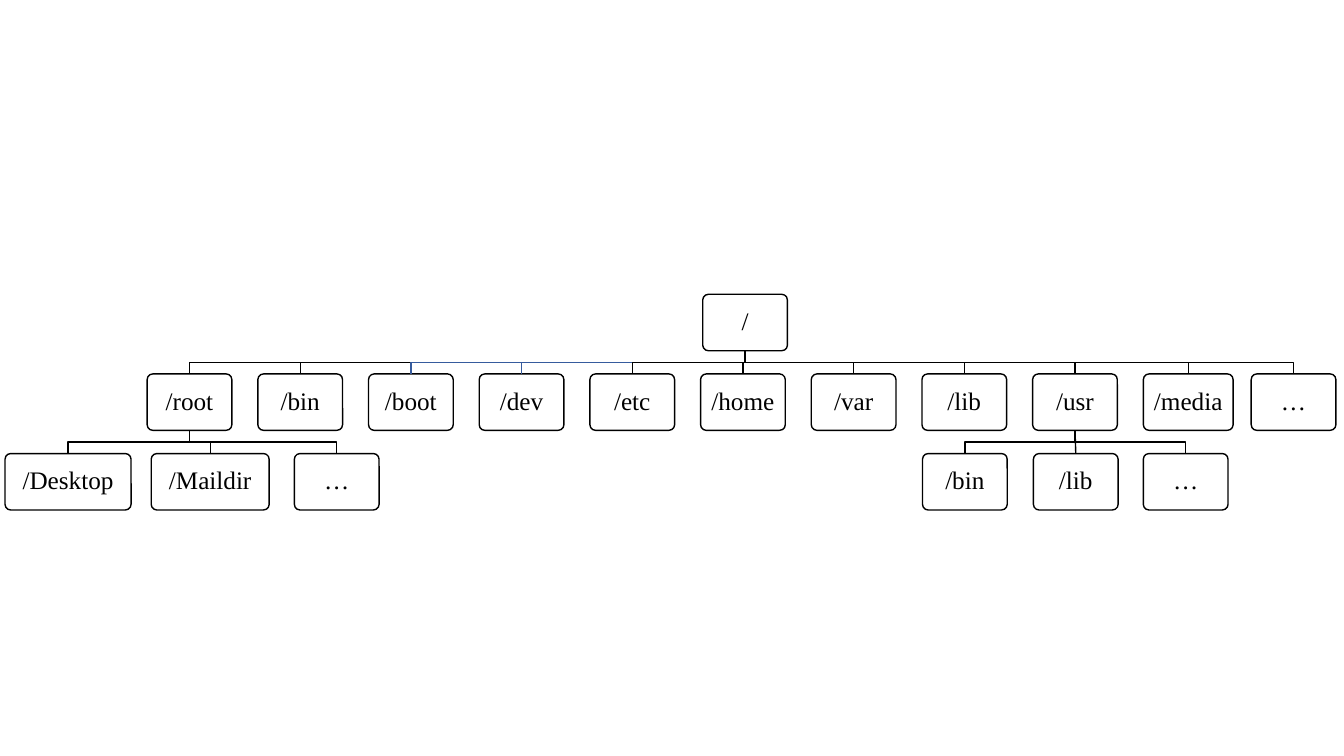
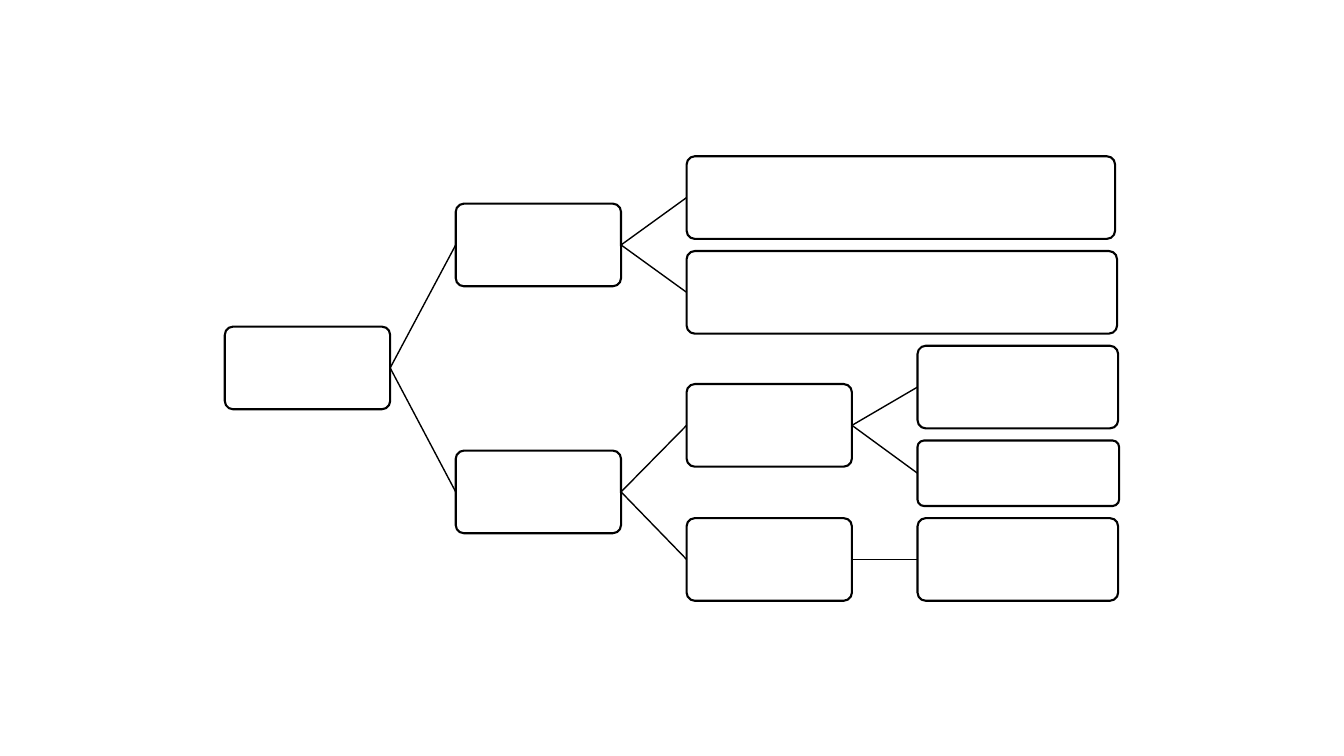
import pptx
import pptx.util
import pptx.dml.color
import pptx.enum.shapes
import pptx.enum.text
import pptx.oxml

Inches = pptx.util.Inches
Pt = pptx.util.Pt

COLORS = {"ink": "000000", "accent": "365B9D", "paper": "FFFFFF"}
LABEL_FONT = {"name": "Times New Roman", "size": Pt(18)}
LABEL_FRAME = {
    "margin_left": Inches(0.08),
    "margin_right": Inches(0.08),
    "margin_top": Inches(0.08),
    "margin_bottom": Inches(0.08),
    "word_wrap": True,
    "vertical_anchor": pptx.enum.text.MSO_ANCHOR.MIDDLE,
}
LABEL_PARAGRAPH = {"alignment": pptx.enum.text.PP_ALIGN.CENTER, "line_spacing": 0.9}

FOLDERS = ["/root", "/bin", "/boot", "/dev", "/etc", "/home", "/var", "/lib", "/usr", "/media"]
ACCENT_FOLDERS = ["/boot", "/dev"]
FOLDER_WIDTH, FOLDER_HEIGHT = 0.84, 0.56
WIDE_FOLDERS = {"/media": 0.89, "/Desktop": 1.25, "/Maildir": 1.17}
ROOT_PLACE = (6.97, 2.92)
FIRST_LEFT, LAST_LEFT = 1.46, 11.34
FOLDER_TOP, SUBFOLDER_TOP = 3.71, 4.5
MORE_LEFT = 12.41
SUBFOLDERS = {
    "/root": [("/Desktop", 0.05), ("/Maildir", 1.5), ("…", 2.92)],
    "/usr": [("/bin", 9.15), ("/lib", 10.25), ("…", 11.34)],
}

TREE_LEFT, TREE_PITCH = 2.23, 2.29
NODE_WIDTH, NODE_HEIGHT = 1.64, 0.82
LEAF_TOP, LEAF_GAP = 1.55, 0.12
BRANCHES = [
    ("start", None, 0, 3.24),
    ("upper", "start", 1, 2.02),
    ("lower", "start", 1, 4.47),
    ("lower first", "lower", 2, 3.81),
    ("lower second", "lower", 2, 5.14),
]
LEAVES = [
    ("upper", 2, 4.25, 0.82),
    ("upper", 2, 4.27, 0.82),
    ("lower first", 3, 1.99, 0.82),
    ("lower first", 3, 2, 0.65),
    ("lower second", 3, 1.99, 0.82),
]


def apply_format(target, values):
    for name, value in values.items():
        setattr(target, name, value)


def rgb(color):
    return pptx.dml.color.RGBColor.from_string(COLORS[color])


def set_line(shape, color, width):
    shape.line.color.rgb = rgb(color)
    shape.line.width = Pt(width)


def add_box(page, left, top, width, height, line_width, fill=None):
    box = page.shapes.add_shape(
        pptx.enum.shapes.MSO_SHAPE.ROUNDED_RECTANGLE,
        Inches(left), Inches(top), Inches(width), Inches(height))
    box.adjustments[0] = 0.1
    box.shadow.inherit = False
    if fill:
        box.fill.solid()
        box.fill.fore_color.rgb = rgb(fill)
    else:
        box.fill.background()
    set_line(box, "ink", line_width)
    return box


def add_folder(page, label, left, top):
    width = WIDE_FOLDERS.get(label, FOLDER_WIDTH)
    box = add_box(page, left, top, width, FOLDER_HEIGHT, 1)
    apply_format(box.text_frame, LABEL_FRAME)
    para = box.text_frame.paragraphs[0]
    apply_format(para, LABEL_PARAGRAPH)
    span = para.add_run()
    span.text = label
    apply_format(span.font, LABEL_FONT)
    span.font.color.rgb = rgb("ink")
    return box


def join_straight(page, parent, child, parent_side, child_side):
    link = page.shapes.add_connector(pptx.enum.shapes.MSO_CONNECTOR.STRAIGHT, 0, 0, 0, 0)
    link.begin_connect(parent, parent_side)
    link.end_connect(child, child_side)
    set_line(link, "ink", 1)
    link._element.spPr.append(pptx.oxml.parse_xml(
        '<a:effectLst xmlns:a="http://schemas.openxmlformats.org/drawingml/2006/main"/>'))


def join_stepped(page, parent, child, color="ink"):
    start_x = parent.left + parent.width // 2
    end_x = child.left + child.width // 2
    start_y = parent.top + parent.height
    if abs(end_x - start_x) < Inches(0.01):
        join_straight(page, parent, child, 2, 0)
        return
    middle_y = (start_y + child.top) // 2
    outline = page.shapes.build_freeform(start_x, start_y)
    outline.add_line_segments(
        [(start_x, middle_y), (end_x, middle_y), (end_x, child.top)], close=False)
    step = outline.convert_to_shape()
    step.shadow.inherit = False
    step.fill.background()
    set_line(step, color, 1)


def build_folder_page(deck):
    page = deck.slides.add_slide(deck.slide_layouts[6])
    root = add_folder(page, "/", *ROOT_PLACE)
    pitch = (LAST_LEFT - FIRST_LEFT) / (len(FOLDERS) - 1)
    places = [(label, FIRST_LEFT + index * pitch) for index, label in enumerate(FOLDERS)]
    for label, left in places + [("…", MORE_LEFT)]:
        folder = add_folder(page, label, left, FOLDER_TOP)
        join_stepped(page, root, folder, "accent" if label in ACCENT_FOLDERS else "ink")
        for sublabel, subleft in SUBFOLDERS.get(label, []):
            join_stepped(page, folder, add_folder(page, sublabel, subleft, SUBFOLDER_TOP))


def build_tree_page(deck):
    page = deck.slides.add_slide(deck.slide_layouts[6])
    nodes = {}

    def add_node(parent, level, top, width, height):
        left = TREE_LEFT + level * TREE_PITCH
        node = add_box(page, left, top, width, height, 1.5, "paper")
        if parent:
            join_straight(page, nodes[parent], node, 3, 1)
        return node

    for name, parent, level, top in BRANCHES:
        nodes[name] = add_node(parent, level, top, NODE_WIDTH, NODE_HEIGHT)
    top = LEAF_TOP
    for parent, level, width, height in LEAVES:
        add_node(parent, level, top, width, height)
        top += height + LEAF_GAP


def main():
    deck = pptx.Presentation()
    deck.slide_width, deck.slide_height = Inches(13.33), Inches(7.5)
    build_folder_page(deck)
    build_tree_page(deck)
    deck.save("out.pptx")


if __name__ == "__main__":
    main()
